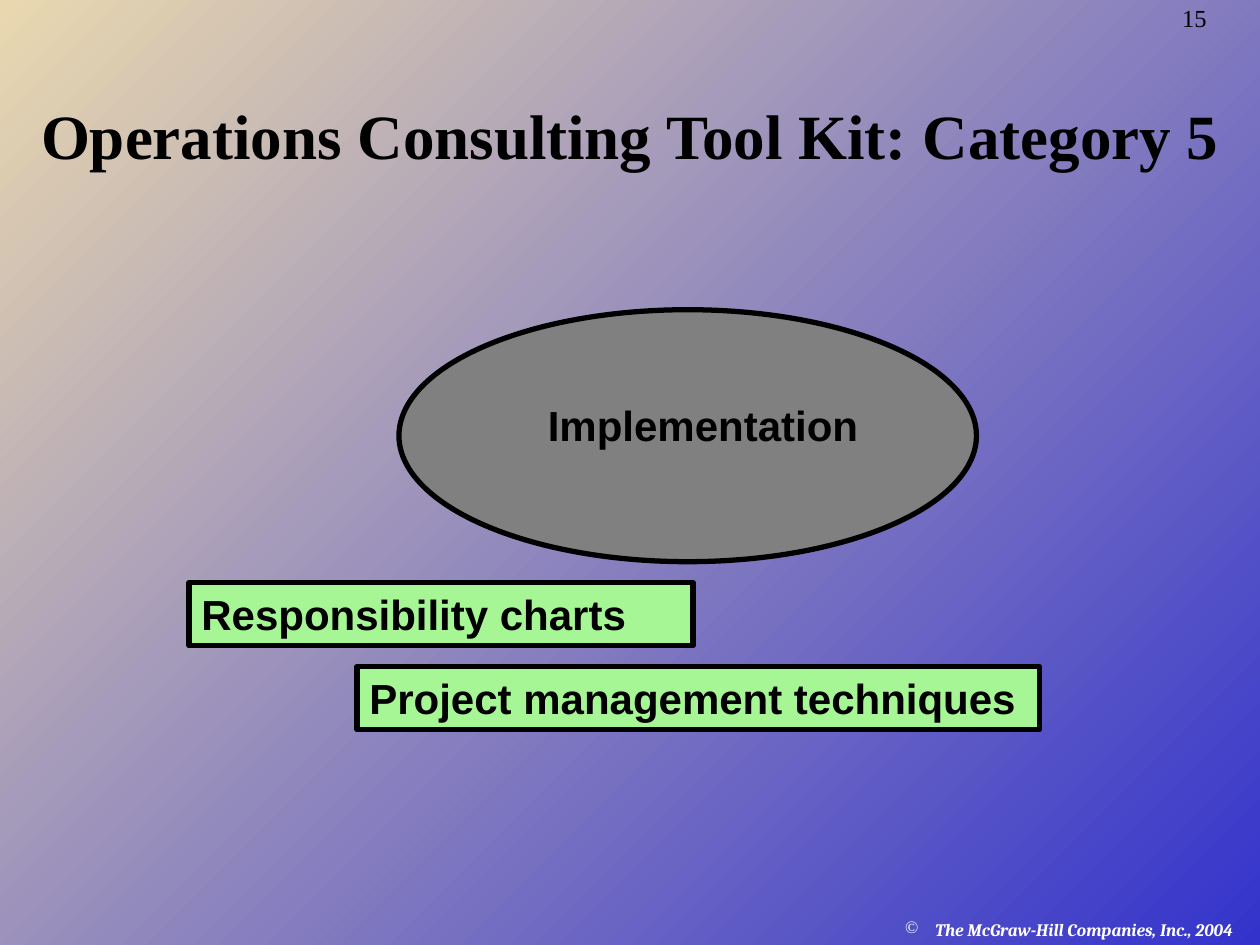
from dataclasses import dataclass

from lxml import etree
from pptx import Presentation
from pptx import util as u
from pptx.dml.color import RGBColor
from pptx.enum import shapes, text
from pptx.oxml import ns

CELL = u.Inches(1) / 6  # the slide is a grid of 60 columns by 45 rows


@dataclass(frozen=True)
class Theme:
    ink: str = "000000"
    white: str = "FFFFFF"
    oval: str = "808080"
    tool: str = "A6F695"
    deep: str = "3333CC"
    sand: str = "E9D8AF"
    serif: str = "Times New Roman"
    sans: str = "Arial"
    credit: str = "Cambria"
    head: int = 36
    body: int = 24
    page: int = 14
    small: int = 10
    edge: int = 3


T = Theme()


def rgb(code):
    return RGBColor.from_string(code)


def grid(*cells):
    return [round(n * CELL) for n in cells]


def paint(slide):
    """Fill the background from blue at lower right to sand at upper left."""
    fill = slide.background.fill
    fill.gradient()
    fill.gradient_angle = 135
    for stop, code, place in zip(fill.gradient_stops, (T.deep, T.sand), (0, 1)):
        stop.color.rgb = rgb(code)
        stop.position = place


def write(shape, words, size, face, color=T.ink, bold=True,
          align=text.PP_ALIGN.LEFT, anchor=text.MSO_ANCHOR.TOP):
    frame = shape.text_frame
    frame.word_wrap = True
    frame.vertical_anchor = anchor
    para = frame.paragraphs[0]
    para.text = words
    para.alignment = align
    font = para.font
    font.size, font.name, font.bold = u.Pt(size), face, bold
    font.color.rgb = rgb(color)
    return para


def label(slide, cells, words, size, face, **style):
    box = slide.shapes.add_textbox(*grid(*cells))
    return write(box, words, size, face, **style)


def solid(slide, kind, cells, color):
    shape = slide.shapes.add_shape(kind, *grid(*cells))
    shape.shadow.inherit = False
    shape.fill.solid()
    shape.fill.fore_color.rgb = rgb(color)
    shape.line.color.rgb = rgb(T.ink)
    shape.line.width = u.Pt(T.edge)
    return shape


def tool(slide, cells, words):
    box = solid(slide, shapes.MSO_SHAPE.RECTANGLE, cells, T.tool)
    write(box, words, T.body, T.sans)


def bullet(para, sign, color, indent):
    """Put a coloured sign before the paragraph, with a hanging indent."""
    props = para._p.get_or_add_pPr()
    props.set("marL", str(indent))
    props.set("indent", str(-indent))
    tint = etree.Element(ns.qn("a:buClr"))
    etree.SubElement(tint, ns.qn("a:srgbClr"), val=color)
    mark = etree.Element(ns.qn("a:buChar"), char=sign)
    props.insert(0, tint)
    props.insert(1, mark)


def main():
    deck = Presentation()
    deck.slide_width, deck.slide_height = grid(60, 45)
    slide = deck.slides.add_slide(deck.slide_layouts[6])
    paint(slide)

    credit = label(slide, (42.5, 43.45, 17.5, 1.5),
                   "The McGraw-Hill Companies, Inc., 2004",
                   T.small, T.credit, color=T.white)
    credit.font.italic = True
    bullet(credit, "©", T.white, u.Inches(0.24))

    page = label(slide, (55.7, 0, 4.3, 1.85), "15", T.page, T.serif, bold=False)
    page.line_spacing = 0.9

    label(slide, (1.2, 4, 57.6, 4.5), "Operations Consulting Tool Kit: Category 5",
          T.head, T.serif, align=text.PP_ALIGN.CENTER,
          anchor=text.MSO_ANCHOR.BOTTOM)

    solid(slide, shapes.MSO_SHAPE.OVAL, (19, 14.75, 27.5, 12), T.oval)
    label(slide, (25.5, 18.75, 20.5, 3), "Implementation", T.body, T.sans)
    tool(slide, (9, 27.75, 24, 3), "Responsibility charts")
    tool(slide, (17, 31.75, 32.5, 3), "Project management techniques")

    deck.save("out.pptx")


if __name__ == "__main__":
    main()
